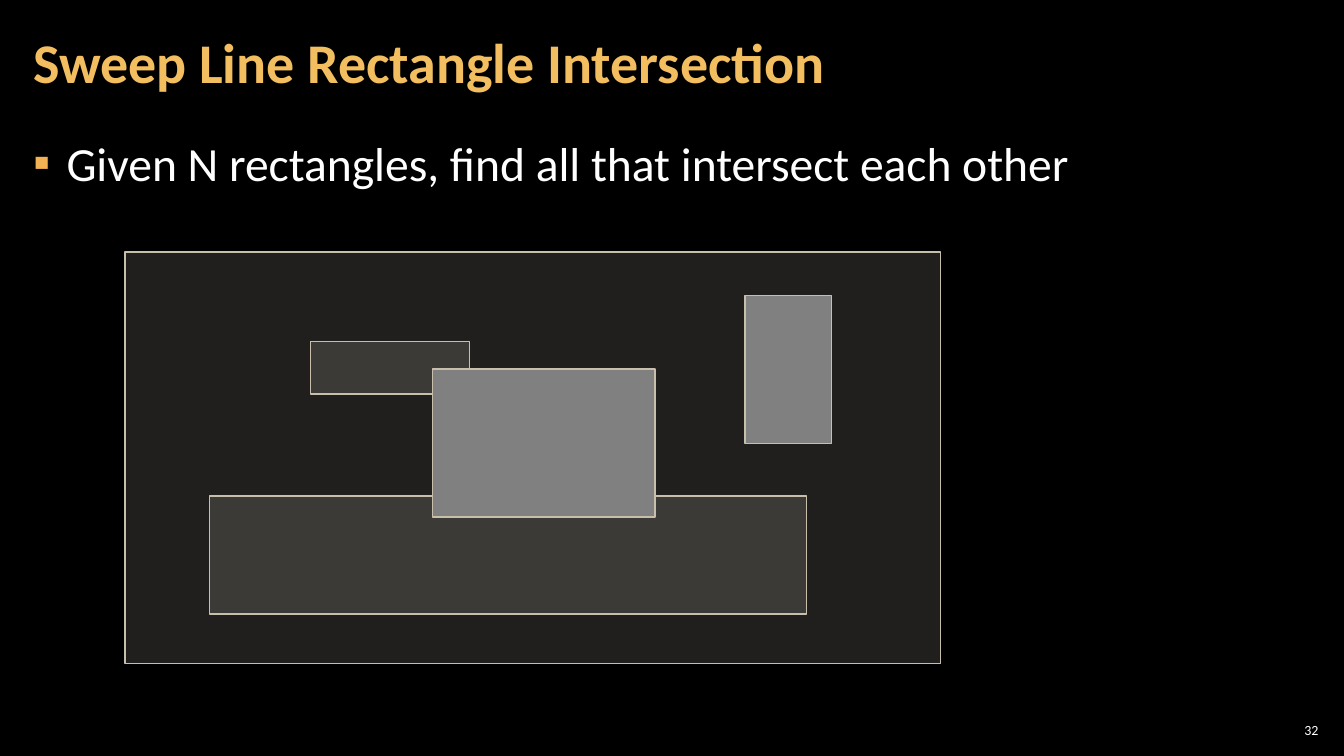
from dataclasses import dataclass

from lxml.etree import SubElement
from pptx import Presentation
from pptx.dml.color import RGBColor
from pptx.enum.shapes import MSO_SHAPE
from pptx.enum.text import MSO_ANCHOR, MSO_AUTO_SIZE, PP_ALIGN
from pptx.oxml.ns import qn
from pptx.util import Inches, Pt

# Grid: each column and row is a tenth of an inch
COLUMNS, ROWS = 133.33, 75
CELL = Inches(0.1)

BLACK = RGBColor(0x00, 0x00, 0x00)
WHITE = RGBColor(0xFF, 0xFF, 0xFF)
GOLD = RGBColor(0xF3, 0xBE, 0x60)
BULLET_GOLD = RGBColor(0xF2, 0xB2, 0x54)
SAND = RGBColor(0xD9, 0xD5, 0xC7)
OUTLINE = RGBColor(0xC7, 0xBF, 0xAC)
GRAY = RGBColor(0x80, 0x80, 0x80)
FONT = "Calibri"


@dataclass(frozen=True)
class Area:
    column: float
    row: float
    columns: float
    rows: float

    def lengths(self) -> tuple[int, ...]:
        cells = (self.column, self.row, self.columns, self.rows)
        return tuple(round(count * CELL) for count in cells)


@dataclass(frozen=True)
class Rectangle:
    area: Area
    color: RGBColor
    opacity: int = 100  # percent


# Back to front
RECTANGLES = (
    Rectangle(Area(12.4, 25, 80.9, 40.8), SAND, 15),
    Rectangle(Area(20.8, 49.2, 59.2, 11.7), SAND, 15),
    Rectangle(Area(30.8, 33.9, 15.8, 5.2), SAND, 15),
    Rectangle(Area(42.9, 36.6, 22.1, 14.7), GRAY),
    Rectangle(Area(73.9, 29.3, 8.6, 14.7), GRAY),
)


def place(box, area: Area) -> None:
    box.left, box.top, box.width, box.height = area.lengths()


def write(box, text: str, *, size: float, color: RGBColor, bold: bool = False,
          align=PP_ALIGN.LEFT, anchor=MSO_ANCHOR.MIDDLE, side: float = 0.12,
          line_spacing: float = 1.0, around: float = 0):
    """Fill a box with one formatted paragraph and return it."""
    frame = box.text_frame
    frame.word_wrap = True
    frame.auto_size = MSO_AUTO_SIZE.NONE
    frame.vertical_anchor = anchor
    frame.margin_left = frame.margin_right = Inches(side)
    frame.margin_top = frame.margin_bottom = Inches(0.04)
    para = frame.paragraphs[0]
    para.alignment = align
    para.line_spacing = line_spacing
    para.space_before = para.space_after = Pt(around)
    span = para.add_run()
    span.text = text
    span.font.name = FONT
    span.font.size = Pt(size)
    span.font.bold = bold
    span.font.color.rgb = color
    return para


def add_bullet(para, symbol: str, color: RGBColor, indent: float) -> None:
    properties = para._p.get_or_add_pPr()
    properties.set("marL", str(Inches(indent)))
    properties.set("indent", str(-Inches(indent)))
    bullet_color = SubElement(properties, qn("a:buClr"))
    SubElement(bullet_color, qn("a:srgbClr"), val=str(color))
    SubElement(properties, qn("a:buFont"), typeface=FONT)
    SubElement(properties, qn("a:buChar"), char=symbol)


def draw_rectangle(group, rectangle: Rectangle) -> None:
    shape = group.shapes.add_shape(MSO_SHAPE.RECTANGLE, *rectangle.area.lengths())
    shape.shadow.inherit = False
    shape.fill.solid()
    shape.fill.fore_color.rgb = rectangle.color
    if rectangle.opacity < 100:
        color = shape._element.spPr.find(qn("a:solidFill")).find(qn("a:srgbClr"))
        SubElement(color, qn("a:alpha"), val=str(rectangle.opacity * 1000))
    shape.line.color.rgb = OUTLINE
    shape.line.width = Pt(1)


def main() -> None:
    deck = Presentation()
    deck.slide_width = round(COLUMNS * CELL)
    deck.slide_height = ROWS * CELL
    page = deck.slides.add_slide(deck.slide_layouts[1])
    page.background.fill.solid()
    page.background.fill.fore_color.rgb = BLACK

    # Title
    title = page.shapes.title
    place(title, Area(2.1, 0.4, 104.7, 12.1))
    write(title, "Sweep Line Rectangle Intersection", size=40, color=GOLD,
          bold=True, line_spacing=0.9)

    # Problem statement
    body = page.placeholders[1]
    place(body, Area(2.1, 12.6, 129.1, 60.9))
    para = write(body, "Given N rectangles, find all that intersect each other",
                 size=34, color=WHITE, anchor=MSO_ANCHOR.TOP,
                 line_spacing=1.05, around=6)
    add_bullet(para, "▪", BULLET_GOLD, 0.33)

    # Overlapping rectangles
    group = page.shapes.add_group_shape()
    for rectangle in RECTANGLES:
        draw_rectangle(group, rectangle)

    # Page number
    number = page.shapes.add_textbox(*Area(126.5, 71.4, 4.7, 2.1).lengths())
    write(number, "32", size=10, color=WHITE, align=PP_ALIGN.RIGHT, side=0.04)

    deck.save("out.pptx")


if __name__ == "__main__":
    main()
